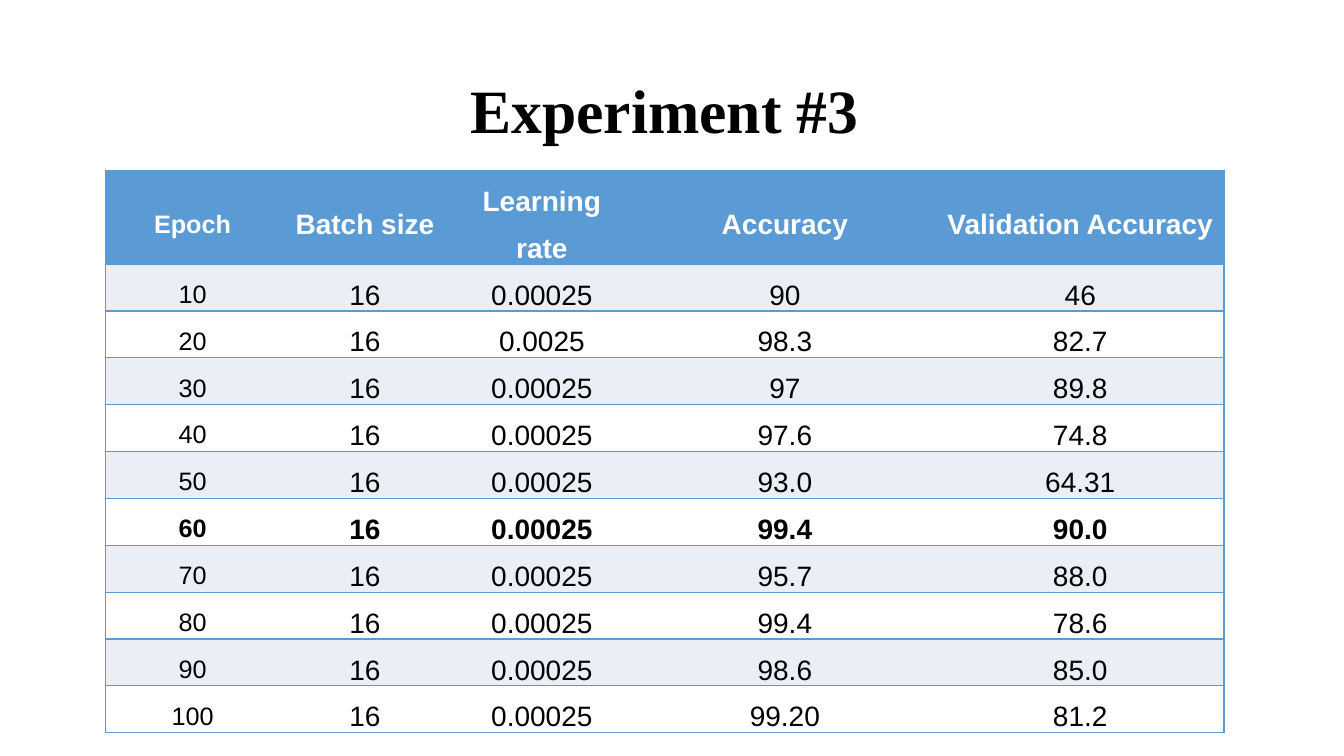
from lxml import etree
from pptx import Presentation
from pptx.dml.color import RGBColor
from pptx.enum.text import MSO_ANCHOR, PP_ALIGN
from pptx.oxml.ns import qn
from pptx.util import Inches, Pt

CENTER = PP_ALIGN.CENTER
MIDDLE = MSO_ANCHOR.MIDDLE
BLUE = RGBColor(0x5B, 0x9B, 0xD5)
PALE = RGBColor(0xEA, 0xEF, 0xF7)
WHITE = RGBColor(0xFF, 0xFF, 0xFF)
BLACK = RGBColor(0, 0, 0)

HEADERS = ["Epoch", "Batch size", "Learning rate", "Accuracy", "Validation Accuracy"]
RESULTS = [
    ["10", "16", "0.00025", "90", "46"],
    ["20", "16", "0.0025", "98.3", "82.7"],
    ["30", "16", "0.00025", "97", "89.8"],
    ["40", "16", "0.00025", "97.6", "74.8"],
    ["50", "16", "0.00025", "93.0", "64.31"],
    ["60", "16", "0.00025", "99.4", "90.0"],
    ["70", "16", "0.00025", "95.7", "88.0"],
    ["80", "16", "0.00025", "99.4", "78.6"],
    ["90", "16", "0.00025", "98.6", "85.0"],
    ["100", "16", "0.00025", "99.20", "81.2"],
]
BEST_EPOCH = "60"
COLUMN_WIDTHS = [1.72, 1.7, 1.81, 3.01, 2.85]
HEADER_HEIGHT, RESULT_HEIGHT = 0.83, 0.39


def apply(target, values):
    """Set each named attribute of the target."""
    for name, value in values.items():
        setattr(target, name, value)


class SlideBuilder:
    title_font = {"name": "Times New Roman", "size": Pt(44), "bold": True}
    title_paragraph = {"alignment": CENTER, "line_spacing": 0.9}
    cell_paragraph = {"alignment": CENTER, "line_spacing": 1.5, "space_after": Pt(5.3)}
    cell_frame = {"vertical_anchor": MIDDLE, "margin_left": Inches(0.07),
                  "margin_right": Inches(0.07), "margin_top": 0, "margin_bottom": 0}

    def __init__(self, slide):
        self.slide = slide

    def add_text(self, paragraph, text, layout, font, color):
        apply(paragraph, layout)
        run = paragraph.add_run()
        run.text = text
        apply(run.font, font)
        run.font.color.rgb = color

    def title(self, text, left, top, width, height):
        heading = self.slide.shapes.title
        apply(heading, {"left": Inches(left), "top": Inches(top),
                        "width": Inches(width), "height": Inches(height)})
        heading.text_frame.vertical_anchor = MIDDLE
        self.add_text(heading.text_frame.paragraphs[0], text,
                      self.title_paragraph, self.title_font, BLACK)

    def border(self, cell, side, visible):
        line = etree.SubElement(cell._tc.get_or_add_tcPr(), qn(f"a:ln{side}"),
                                w=str(Pt(1)))
        if visible:
            fill = etree.SubElement(line, qn("a:solidFill"))
            etree.SubElement(fill, qn("a:srgbClr"), val=str(BLUE))
        else:
            etree.SubElement(line, qn("a:noFill"))

    def cell(self, cell, text, font, color, fill, outer_sides):
        apply(cell, self.cell_frame)
        for side in "LRTB":
            self.border(cell, side, side in "TB" or side in outer_sides)
        cell.fill.solid()
        cell.fill.fore_color.rgb = fill
        self.add_text(cell.text_frame.paragraphs[0], text,
                      self.cell_paragraph, font, color)

    def table(self, rows, left, top):
        height = HEADER_HEIGHT + RESULT_HEIGHT * (len(rows) - 1)
        table = self.slide.shapes.add_table(
            len(rows), len(COLUMN_WIDTHS), Inches(left), Inches(top),
            Inches(sum(COLUMN_WIDTHS)), Inches(height)).table
        for column, width in zip(table.columns, COLUMN_WIDTHS):
            column.width = Inches(width)
        last = len(COLUMN_WIDTHS) - 1
        for r, values in enumerate(rows):
            header = r == 0
            table.rows[r].height = Inches(HEADER_HEIGHT if header else RESULT_HEIGHT)
            fill = BLUE if header else PALE if r % 2 else WHITE
            for c, text in enumerate(values):
                font = {"name": "Arial", "size": Pt(20 if c else 18),
                        "bold": header or values[0] == BEST_EPOCH}
                outer_sides = {0: "L", last: "R"}.get(c, "")
                self.cell(table.cell(r, c), text, font,
                          WHITE if header else BLACK, fill, outer_sides)


def main():
    deck = Presentation()
    deck.slide_width, deck.slide_height = Inches(13.33), Inches(7.5)
    builder = SlideBuilder(deck.slides.add_slide(deck.slide_layouts[5]))
    builder.title("Experiment #3 ", 0.92, 0.4, 11.5, 1.45)
    builder.table([HEADERS] + RESULTS, 1.05, 1.69)
    deck.save("out.pptx")


if __name__ == "__main__":
    main()
